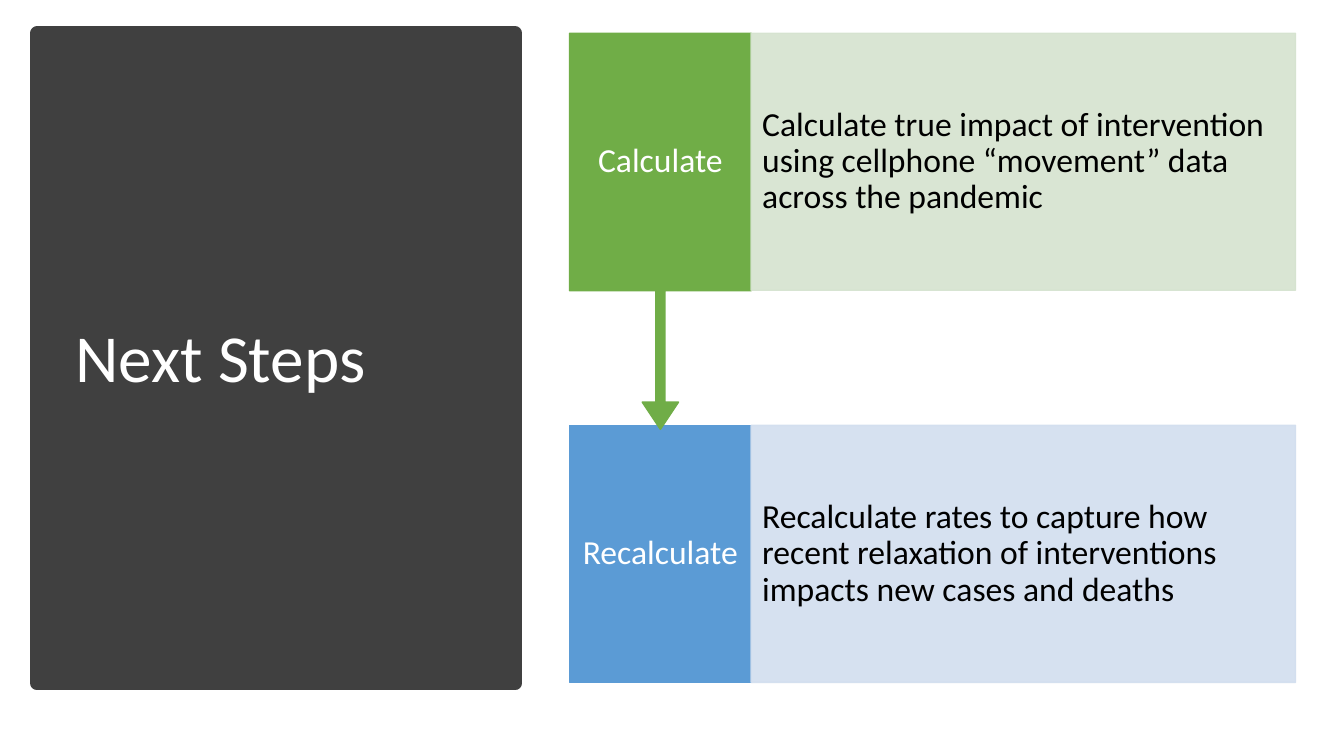
from lxml import etree
from pptx import Presentation
from pptx.dml.color import RGBColor
from pptx.enum.shapes import MSO_SHAPE
from pptx.enum.text import MSO_ANCHOR, PP_ALIGN
from pptx.oxml.ns import qn
from pptx.util import Inches, Pt

RECTANGLE = MSO_SHAPE.RECTANGLE
ARROW_CALLOUT = MSO_SHAPE.DOWN_ARROW_CALLOUT
MIDDLE = MSO_ANCHOR.MIDDLE
LEFT, CENTER = PP_ALIGN.LEFT, PP_ALIGN.CENTER


def add_block(kind, box, color, line_width, opacity=100):
    shape = slide.shapes.add_shape(kind, *map(Inches, box))
    shape.shadow.inherit = False
    shape.line.width = Pt(line_width)
    for fill in (shape.fill, shape.line.fill):
        fill.solid()
        fill.fore_color.rgb = RGBColor.from_string(color)
    if opacity < 100:
        for color_element in shape._element.spPr.iter(qn("a:srgbClr")):
            alpha = etree.SubElement(color_element, qn("a:alpha"))
            alpha.set("val", str(opacity * 1000))
    return shape


def write_text(shape, text, size, color, align, margin_x, margin_y):
    frame = shape.text_frame
    frame_format = {
        "word_wrap": True, "vertical_anchor": MIDDLE,
        "margin_left": Inches(margin_x), "margin_right": Inches(margin_x),
        "margin_top": Inches(margin_y), "margin_bottom": Inches(margin_y),
    }
    for name, value in frame_format.items():
        setattr(frame, name, value)
    paragraph = frame.paragraphs[0]
    paragraph.alignment = align
    paragraph.line_spacing = 0.9
    run = paragraph.add_run()
    run.text = text
    for name, value in {"name": "Calibri", "size": Pt(size)}.items():
        setattr(run.font, name, value)
    run.font.color.rgb = RGBColor.from_string(color)


presentation = Presentation()
presentation.slide_width = Inches(13.33)
presentation.slide_height = Inches(7.5)
slide = presentation.slides.add_slide(presentation.slide_layouts[6])

# Title panel
add_block(RECTANGLE, (0.37, 0.33, 4.74, 6.45), "404040", 10)
title = slide.shapes.add_textbox(*map(Inches, (0.65, 0.7, 4.16, 5.75)))
write_text(title, "Next Steps", 48, "FFFFFF", LEFT, 0.1, 0.05)

# Steps, last one first so that the arrow lies on top of it
step_left, label_width, detail_width = 5.65, 1.8, 5.4
step_height, callout_height = 2.55, 3.93
steps = [
    (RECTANGLE, 4.22, step_height, "5B9BD5", "D2DEEF", "Recalculate",
     "Recalculate rates to capture how recent relaxation of interventions "
     "impacts new cases and deaths"),
    (ARROW_CALLOUT, 0.33, callout_height, "70AD47", "D5E3CF", "Calculate",
     "Calculate true impact of intervention using cellphone “movement” data "
     "across the pandemic"),
]
for kind, top, label_height, color, tint, name, description in steps:
    label = add_block(kind, (step_left, top, label_width, label_height), color, 1)
    if kind == ARROW_CALLOUT:
        for index, value in enumerate((0.05, 0.1, 0.15, 0.65)):
            label.adjustments[index] = value
    write_text(label, name, 24, "FFFFFF", CENTER, 0.13, 0.19)

    detail_box = (step_left + label_width, top, detail_width, step_height)
    detail = add_block(RECTANGLE, detail_box, tint, 1, opacity=90)
    write_text(detail, description, 24, "000000", LEFT, 0.11, 0.33)

presentation.save("out.pptx")
